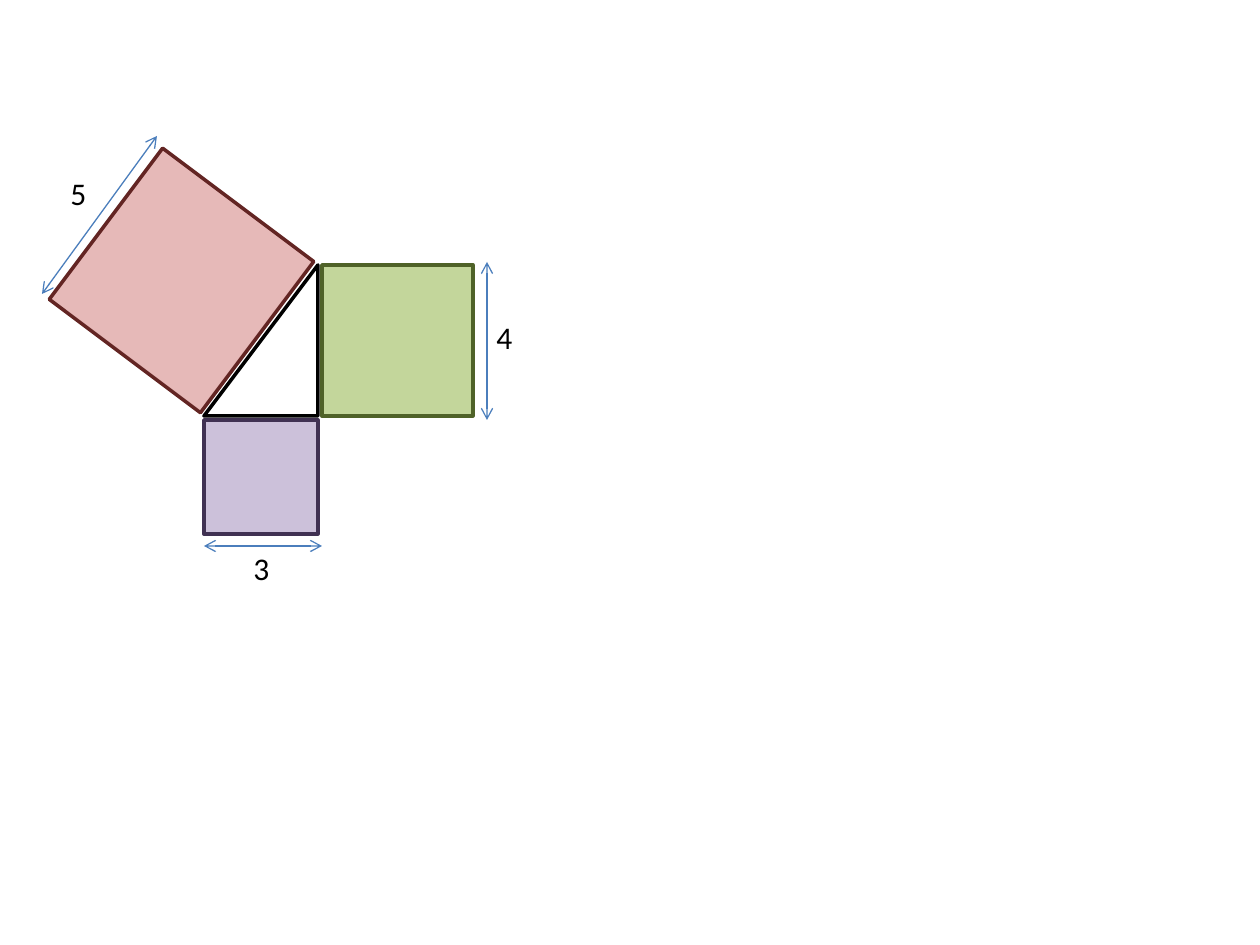
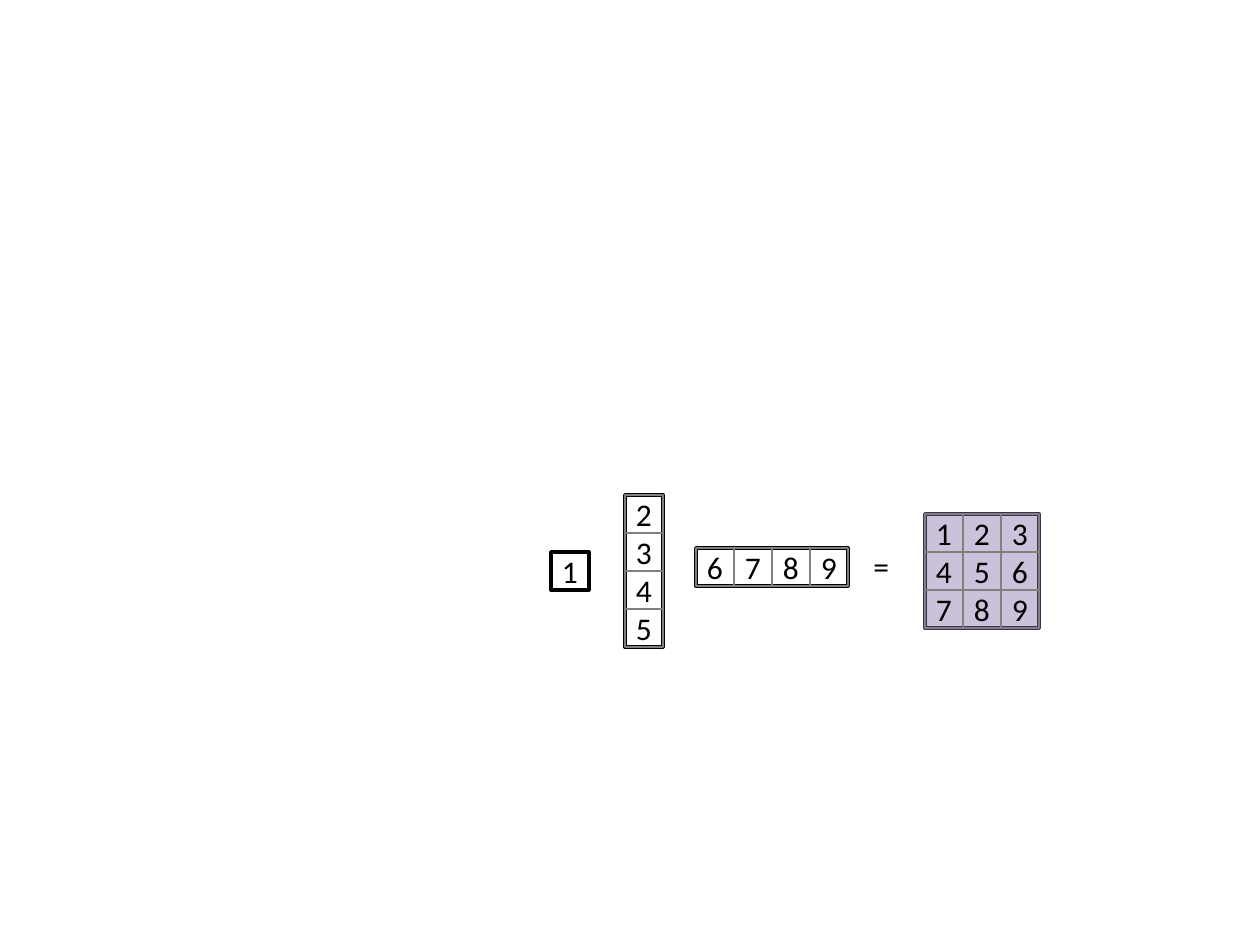
from dataclasses import dataclass
from lxml.etree import SubElement
from pptx import Presentation
from pptx.dml.color import RGBColor
from pptx.enum.shapes import MSO_CONNECTOR, MSO_SHAPE
from pptx.enum.text import MSO_ANCHOR, MSO_AUTO_SIZE, PP_ALIGN
from pptx.oxml.ns import qn
from pptx.util import Emu, Pt

PX_PER_INCH = 126
CELL = 38


@dataclass(frozen=True)
class Theme:
    font: str = "Calibri"
    text_size: float = 18
    outline: float = 2
    cell_line: float = 1.25
    dimension_line: float = 0.75
    black: str = "000000"
    grey: str = "808080"
    blue: str = "4B7EBC"
    red: str = "E6B9B8"
    dark_red: str = "632523"
    green: str = "C3D69B"
    dark_green: str = "4F6228"
    purple: str = "CCC1DA"
    dark_purple: str = "403152"


THEME = Theme()


def px(length):
    return Emu(round(length * 914400 / PX_PER_INCH))


def write(frame, text, align=PP_ALIGN.LEFT, anchor=MSO_ANCHOR.TOP, color=THEME.black):
    frame.vertical_anchor = anchor
    para = frame.paragraphs[0]
    para.alignment = align
    span = para.add_run()
    span.text = text
    span.font.name = THEME.font
    span.font.size = Pt(THEME.text_size)
    span.font.color.rgb = RGBColor.from_string(color)


def add_figure(page, left, top, width, height, line, fill=None,
               weight=THEME.outline, kind=MSO_SHAPE.RECTANGLE):
    figure = page.shapes.add_shape(kind, px(left), px(top), px(width), px(height))
    figure.shadow.inherit = False
    figure.line.color.rgb = RGBColor.from_string(line)
    figure.line.width = Pt(weight)
    if fill:
        figure.fill.solid()
        figure.fill.fore_color.rgb = RGBColor.from_string(fill)
    else:
        figure.fill.background()
    return figure


def add_cell(page, left, top, text, line=THEME.grey, weight=THEME.cell_line):
    cell = add_figure(page, left, top, CELL, CELL, line, weight=weight)
    frame = cell.text_frame
    frame.margin_left = frame.margin_right = frame.margin_top = frame.margin_bottom = 0
    write(frame, text, align=PP_ALIGN.CENTER, anchor=MSO_ANCHOR.MIDDLE)


def add_grid(page, left, top, rows, line=THEME.black, fill=None):
    add_figure(page, left, top, CELL * len(rows[0]), CELL * len(rows), line, fill)
    for row, digits in enumerate(rows):
        for column, digit in enumerate(digits):
            add_cell(page, left + column * CELL, top + row * CELL, digit)


def add_label(page, left, top, text):
    box = page.shapes.add_textbox(px(left), px(top), px(42), px(50))
    box.text_frame.word_wrap = False
    box.text_frame.auto_size = MSO_AUTO_SIZE.SHAPE_TO_FIT_TEXT
    write(box.text_frame, text)


def add_dimension(page, start, end):
    arrow = page.shapes.add_connector(
        MSO_CONNECTOR.STRAIGHT, *(px(value) for value in (*start, *end)))
    arrow.line.color.rgb = RGBColor.from_string(THEME.blue)
    arrow.line.width = Pt(THEME.dimension_line)
    line = arrow.line._get_or_add_ln()
    for end_name in ("a:headEnd", "a:tailEnd"):
        SubElement(line, qn(end_name), type="arrow")
    SubElement(arrow._element.spPr, qn("a:effectLst"))


def draw_squares_on_triangle(page):
    add_figure(page, 204, 420, 114, 114, THEME.dark_purple, THEME.purple)
    hypotenuse_square = add_figure(page, 87, 186, 189, 189, THEME.dark_red, THEME.red)
    hypotenuse_square.rotation = 36.87
    triangle = add_figure(page, 204, 265, 114, 151, THEME.black,
                          kind=MSO_SHAPE.ISOSCELES_TRIANGLE)
    triangle.adjustments[0] = 1
    add_figure(page, 322, 265, 151, 151, THEME.dark_green, THEME.green)
    for start, end, label_left, label_top, length in (
        ((204, 546), (322, 546), 241, 543, "3"),
        ((487, 262), (487, 420), 484, 312, "4"),
        ((157, 136), (42, 294), 58, 168, "5"),
    ):
        add_dimension(page, start, end)
        add_label(page, label_left, label_top, length)


def draw_pieces_forming_square(page):
    add_cell(page, 551, 552, "1", line=THEME.black, weight=THEME.outline)
    add_grid(page, 925, 514, ("123", "456", "789"), THEME.dark_purple, THEME.purple)
    add_grid(page, 625, 495, ("2", "3", "4", "5"))
    add_grid(page, 696, 548, ("6789",))
    add_label(page, 861, 541, "=")


def main():
    deck = Presentation()
    deck.slide_width = px(1260)
    deck.slide_height = px(945)
    blank = deck.slide_layouts.get_by_name("Blank")
    for draw in (draw_squares_on_triangle, draw_pieces_forming_square):
        draw(deck.slides.add_slide(blank))
    deck.save("out.pptx")


if __name__ == "__main__":
    main()
